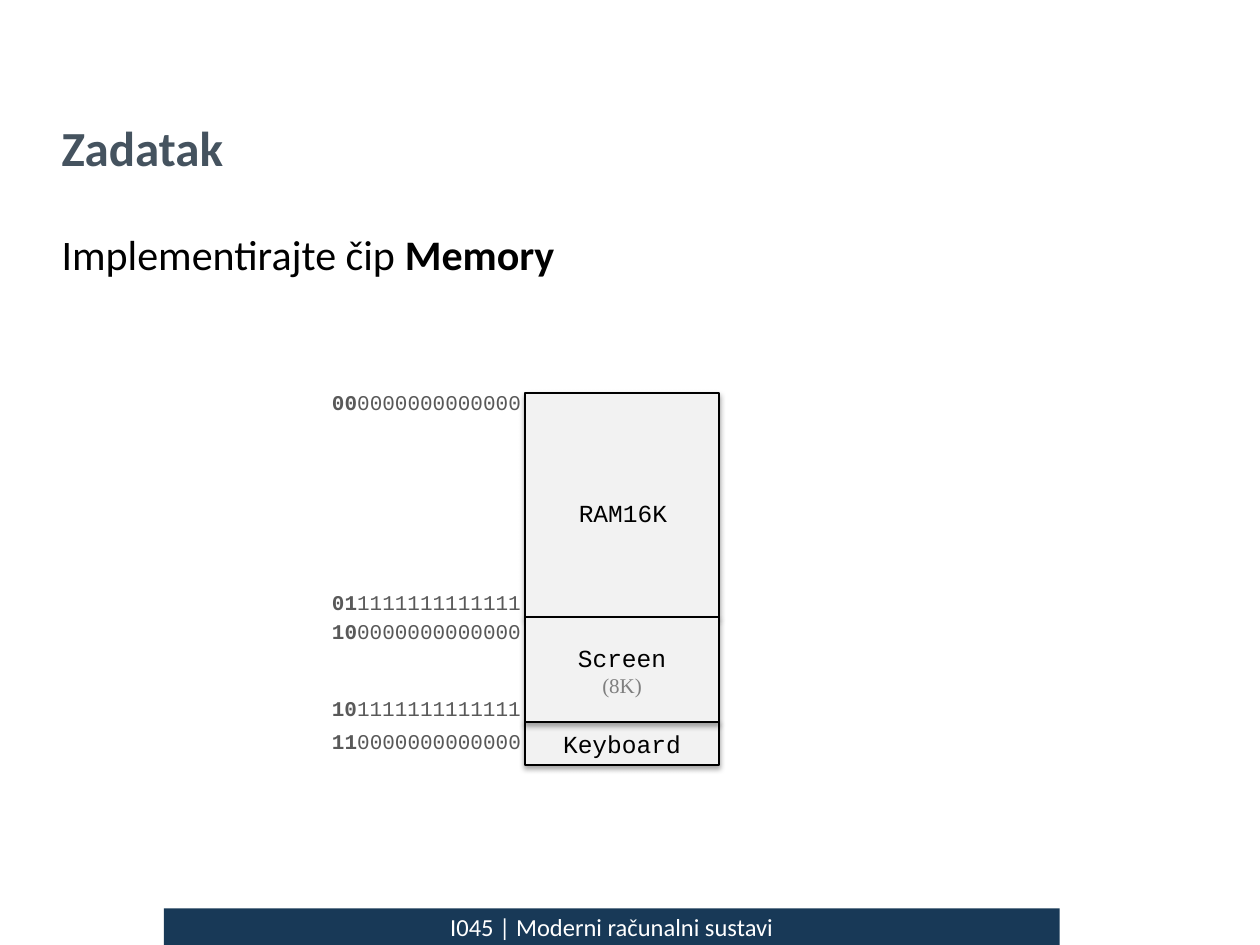
import pptx
import pptx.util
import pptx.oxml
import pptx.oxml.ns
import pptx.dml.color
import pptx.enum.shapes
import pptx.enum.text

Pt = pptx.util.Pt
RGBColor = pptx.dml.color.RGBColor
ALIGN = pptx.enum.text.PP_ALIGN
ANCHOR = pptx.enum.text.MSO_ANCHOR
RECT = pptx.enum.shapes.MSO_SHAPE.RECTANGLE

BLACK = RGBColor(0x00, 0x00, 0x00)
WHITE = RGBColor(0xFF, 0xFF, 0xFF)
NAVY = RGBColor(0x18, 0x39, 0x57)
SLATE = RGBColor(0x45, 0x53, 0x5F)
PALE = RGBColor(0xF2, 0xF2, 0xF2)
DARK_GRAY = RGBColor(0x59, 0x59, 0x59)
MID_GRAY = RGBColor(0x7F, 0x7F, 0x7F)

TITLE = dict(name="Calibri", size=Pt(28), bold=True, color=SLATE)
BODY = dict(name="Calibri", size=Pt(24), bold=False, color=BLACK)
FOOTER = dict(name="Calibri", size=Pt(14), color=WHITE)
NAME = dict(name="Courier New", size=Pt(14), color=BLACK)
NOTE = dict(name="Times New Roman", size=Pt(12), color=MID_GRAY)
ADDRESS = dict(name="Courier New", size=Pt(12), bold=False, color=DARK_GRAY)

SHADOW = (
    '<a:outerShdw %s blurRad="%d" dist="%d" dir="5400000" rotWithShape="0">'
    '<a:srgbClr val="000000"><a:alpha val="35000"/></a:srgbClr></a:outerShdw>'
    % (pptx.oxml.ns.nsdecls("a"), Pt(3.1), Pt(1.8))
)


def add_run(p, text, fmt):
    r = p.add_run()
    r.text = text
    for key, value in fmt.items():
        if key == "color":
            r.font.color.rgb = value
        else:
            setattr(r.font, key, value)


def write(sp, lines, align, anchor, wrap=True):
    tf = sp.text_frame
    tf.word_wrap = wrap
    tf.auto_size = pptx.enum.text.MSO_AUTO_SIZE.NONE
    tf.vertical_anchor = anchor
    for i, runs in enumerate(lines):
        p = tf.add_paragraph() if i else tf.paragraphs[0]
        p.alignment = align
        p.space_before = Pt(0)
        for text, fmt in runs:
            add_run(p, text, fmt)


def place(sp, box):
    for key, value in zip(("left", "top", "width", "height"), box):
        setattr(sp, key, Pt(value))


def add_text(shapes, box, lines, align, anchor=ANCHOR.TOP):
    sp = shapes.add_textbox(*map(Pt, box))
    write(sp, lines, align, anchor)


def add_rect(shapes, box, fill):
    sp = shapes.add_shape(RECT, *map(Pt, box))
    sp.shadow.inherit = False
    sp.fill.solid()
    sp.fill.fore_color.rgb = fill
    sp.line.fill.background()
    return sp


def add_footer(s, box):
    x, y, w, h = box
    add_rect(s.shapes, box, NAVY)
    add_text(s.shapes, (x + 6, y - 1.5, w - 12, 24.5),
             [[("I045 | Moderni računalni sustavi", FOOTER)]], ALIGN.CENTER)


def add_title(s, box):
    sp = s.shapes.title
    place(sp, box)
    write(sp, [[("Zadatak", TITLE)]], ALIGN.LEFT, ANCHOR.MIDDLE)


def add_body(s, box):
    sp = s.placeholders[1]
    place(sp, box)
    write(sp, [[("Implementirajte čip ", BODY), ("Memory", {**BODY, "bold": True})]],
          ALIGN.LEFT, ANCHOR.TOP)
    pPr = sp.text_frame.paragraphs[0]._p.get_or_add_pPr()
    pPr.set("marL", "0")
    pPr.set("indent", "0")
    pPr.append(pptx.oxml.parse_xml("<a:buNone %s/>" % pptx.oxml.ns.nsdecls("a")))


def add_memory_block(s, box, lines, addresses, label_box=None):
    x, y, w, h = box
    shapes = s.shapes.add_group_shape().shapes
    sp = add_rect(shapes, box, PALE)
    sp.line.color.rgb = BLACK
    sp.line.width = Pt(1)
    effects = sp._element.spPr.find(pptx.oxml.ns.qn("a:effectLst"))
    effects.append(pptx.oxml.parse_xml(SHADOW))
    if label_box:
        dx, dy, lw, lh = label_box
        add_text(shapes, (x + dx, y + dy, lw, lh), lines, ALIGN.CENTER, ANCHOR.MIDDLE)
    else:
        write(sp, lines, ALIGN.CENTER, ANCHOR.MIDDLE)
    for prefix, digit, dy, width in addresses:
        add_text(shapes, (x + 4.8 - width, y + dy, width, 21.6),
                 [[(prefix, {**ADDRESS, "bold": True}), (digit * 13, ADDRESS)]],
                 ALIGN.RIGHT)


def add_memory_map(s, box):
    x, y, w, h = box
    ram, screen = 128.2, 59.8
    keyboard = h - ram - screen
    add_memory_block(s, (x, y, w, ram), [[("RAM16K", NAME)]],
                     [("00", "0", -5.8, 148), ("01", "1", 108.7, 183)],
                     (2, 56, 108, 24.5))
    add_memory_block(s, (x, y + ram + screen, w, keyboard), [[("Keyboard", NAME)]],
                     [("11", "0", 0, 154)])
    add_memory_block(s, (x, y + ram, w, screen),
                     [[("Screen", NAME)], [("(8K)", NOTE)]],
                     [("10", "0", -2.9, 194), ("10", "1", 41, 246)],
                     (3, 7.8, 105, 44.6))


def main():
    prs = pptx.Presentation()
    prs.slide_width, prs.slide_height = Pt(720), Pt(540)
    s = prs.slides.add_slide(prs.slide_layouts[1])
    add_footer(s, (93.6, 519.1, 512, 20.9))
    add_body(s, (28, 126.7, 641, 376))
    add_title(s, (28, 61.2, 521, 45.4))
    add_memory_map(s, (300, 224.6, 111, 212.5))
    prs.save("out.pptx")


if __name__ == "__main__":
    main()
